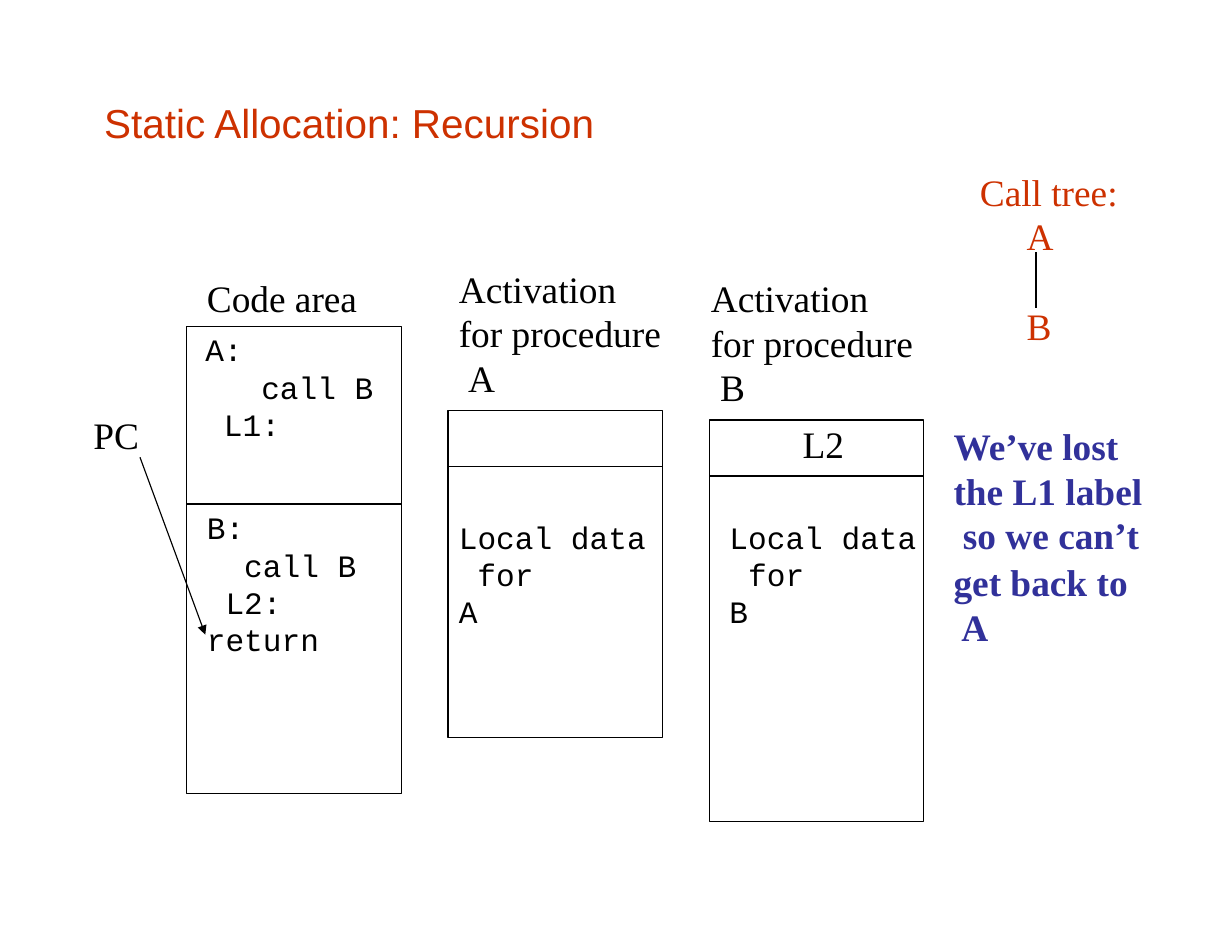
from dataclasses import dataclass

from lxml import etree
from pptx import Presentation
from pptx.dml.color import RGBColor
from pptx.enum.shapes import MSO_CONNECTOR as Connector, MSO_SHAPE as Shape
from pptx.oxml.ns import qn
from pptx.util import Pt


@dataclass(frozen=True)
class TextStyle:
    font: str
    size: float
    pitch: float
    color: RGBColor
    bold: bool = False


class Theme:
    ink = RGBColor(0x00, 0x00, 0x00)
    accent = RGBColor(0xCD, 0x31, 0x00)
    note_color = RGBColor(0x31, 0x31, 0x9A)
    line_width = 0.75
    title = TextStyle("Arial", 26, 30, accent)
    label = TextStyle("Times New Roman", 24, 28.5, ink)
    tree = TextStyle("Times New Roman", 24, 28.5, accent)
    note = TextStyle("Times New Roman", 24, 28.5, note_color, True)
    code = TextStyle("Courier New", 20, 24, ink)


def add_text(page, left, top, width, lines, style):
    """Place one paragraph per line; a line is (text, indent)."""
    height = style.pitch * len(lines)
    box = page.shapes.add_textbox(Pt(left), Pt(top), Pt(width), Pt(height))
    frame = box.text_frame
    frame.margin_left = frame.margin_right = 0
    frame.margin_top = frame.margin_bottom = 0
    frame.word_wrap = True
    frame.text = "\n".join(text for text, _ in lines)
    for para, (_, indent) in zip(frame.paragraphs, lines):
        props = para._p.get_or_add_pPr()
        props.set("marL", str(Pt(indent)))
        props.set("indent", "0")
        para.line_spacing = Pt(style.pitch)
        for span in para.runs:
            span.font.name = style.font
            span.font.size = Pt(style.size)
            span.font.bold = style.bold
            span.font.color.rgb = style.color
    return box


def add_line(page, x1, y1, x2, y2, arrow=False):
    line = page.shapes.add_connector(
        Connector.STRAIGHT, Pt(x1), Pt(y1), Pt(x2), Pt(y2))
    line.line.color.rgb = Theme.ink
    line.line.width = Pt(Theme.line_width)
    if arrow:
        head = etree.SubElement(line.line._get_or_add_ln(), qn("a:tailEnd"))
        head.set("type", "triangle")
    etree.SubElement(line._element.spPr, qn("a:effectLst"))


def add_divided_frame(page, left, top, width, height, split):
    """Outline a box with a rule at distance split below its top."""
    frame = page.shapes.add_shape(
        Shape.RECTANGLE, Pt(left), Pt(top), Pt(width), Pt(height))
    frame.shadow.inherit = False
    frame.fill.background()
    frame.line.color.rgb = Theme.ink
    frame.line.width = Pt(Theme.line_width)
    add_line(page, left, top + split, left + width, top + split)


def add_code_area(page, left, top, width, height):
    split = 114
    add_text(page, left + 13, top - 33, 110, [("Code area", 0)], Theme.label)
    add_divided_frame(page, left, top, width, height, split)
    add_text(page, left + 12, top + 2.5, 124,
             [("A:", 0), ("call B", 36), ("L1:", 12)], Theme.code)
    add_text(page, left + 13, top + split + 3, 123,
             [("B:", 0), ("call B", 24), ("L2:", 12), ("return", 0)], Theme.code)


def add_activation(page, left, top, width, height, name, label_inset, data_inset):
    add_text(page, left + label_inset, top - 92.5, 138,
             [("Activation", 0), ("for procedure", 0), (name, 6)], Theme.label)
    add_divided_frame(page, left, top, width, height, 36)
    add_text(page, left + data_inset, 333, 124,
             [("Local data", 0), ("for", 12), (name, 0)], Theme.code)


def add_program_counter(page, left, top, width, height):
    add_text(page, left, top, 40, [("PC", 0)], Theme.label)
    add_line(page, left + 30, top + 29, left + width, top + height, arrow=True)


def add_call_tree(page, left, top, width):
    child = 30
    add_text(page, left, top, width, [("Call tree:", 0), ("A", child)], Theme.tree)
    add_line(page, left + child + 6, top + 53, left + child + 6, top + 89)
    add_text(page, left + child, top + 86, 24, [("B", 0)], Theme.tree)


def add_note(page, left, top, width):
    lines = [("We’ve lost", 0), ("the L1 label", 0), ("so we can’t", 6),
             ("get back to", 0), ("A", 5)]
    box = add_text(page, left, top, width, lines, Theme.note)
    box.text_frame.paragraphs[3].space_before = Pt(2)


def main():
    deck = Presentation()
    deck.slide_width, deck.slide_height = Pt(792), Pt(612)
    page = deck.slides.add_slide(deck.slide_layouts[6])

    add_text(page, 67, 64.5, 660, [("Static Allocation: Recursion", 0)], Theme.title)
    add_code_area(page, 120, 210, 138, 300)
    add_activation(page, 288, 264, 138, 210, "A", 7, 7)
    add_activation(page, 456, 270, 138, 258, "B", 1, 13)
    add_text(page, 516, 271, 40, [("L2", 0)], Theme.label)
    add_program_counter(page, 60, 265, 72, 143)
    add_call_tree(page, 630, 109, 100)
    add_note(page, 613, 272.5, 140)

    deck.save("out.pptx")


if __name__ == "__main__":
    main()
